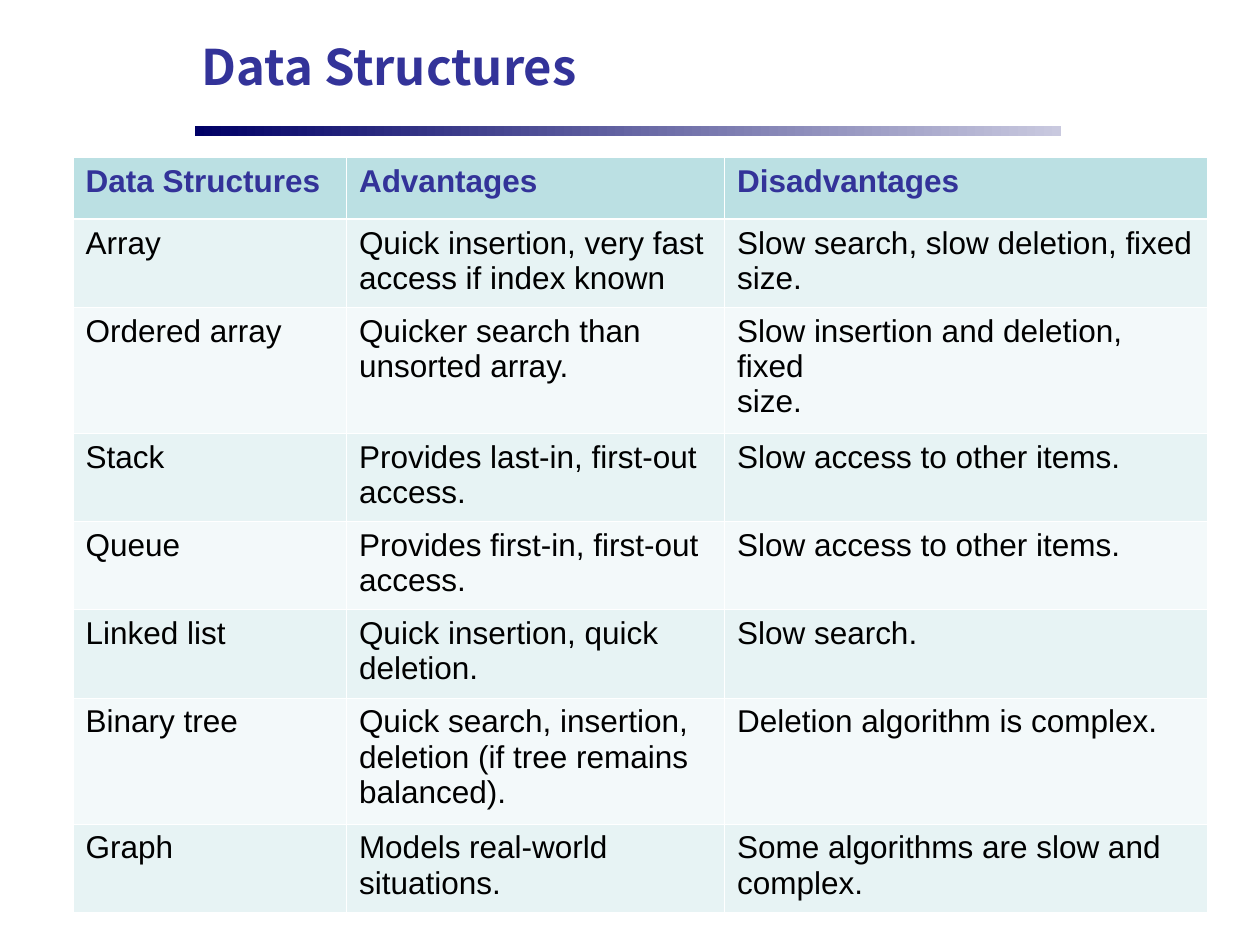
from lxml.etree import SubElement
from pptx import Presentation
from pptx.dml.color import RGBColor
from pptx.enum.shapes import MSO_SHAPE
from pptx.enum.text import MSO_ANCHOR, PP_ALIGN
from pptx.oxml.ns import qn
from pptx.util import Inches, Pt

NAVY = RGBColor(0x00, 0x00, 0x66)
LAVENDER = RGBColor(0xC9, 0xC9, 0xDF)
INDIGO = RGBColor(0x33, 0x33, 0x99)
BLACK = RGBColor(0x00, 0x00, 0x00)
WHITE = RGBColor(0xFF, 0xFF, 0xFF)
HEADER_FILL = RGBColor(0xBB, 0xE0, 0xE3)
BAND_FILLS = [RGBColor(0xF3, 0xF9, 0xFA), RGBColor(0xE7, 0xF3, 0xF4)]

THIN, THICK = 0.45, 1.47
COLUMNS = [2.17, 3, 3.83]
ROW_HEIGHTS = [0.49, 0.7, 1, 0.7, 0.7, 0.7, 1, 0.7]
ROWS = [
    ("Data Structures", "Advantages", "Disadvantages"),
    ("Array", "Quick insertion, very fast\naccess if index known",
     "Slow search, slow deletion, fixed\nsize."),
    ("Ordered array", "Quicker search than\nunsorted array.",
     "Slow insertion and deletion, fixed\nsize."),
    ("Stack", "Provides last-in, first-out\naccess.",
     "Slow access to other items."),
    ("Queue", "Provides first-in, first-out\naccess.",
     "Slow access to other items."),
    ("Linked list", "Quick insertion, quick\ndeletion.", "Slow search."),
    ("Binary tree",
     "Quick search, insertion,\ndeletion (if tree remains\nbalanced).",
     "Deletion algorithm is complex."),
    ("Graph", "Models real-world\nsituations.",
     "Some algorithms are slow and\ncomplex."),
]


def format_runs(tf, name, size, color, bold):
    for p in tf.paragraphs:
        for r in p.runs:
            r.font.name = name
            r.font.size = Pt(size)
            r.font.color.rgb = color
            r.font.bold = bold


def add_rule(slide, box):
    sp = slide.shapes.add_shape(MSO_SHAPE.RECTANGLE, *map(Inches, box))
    sp.shadow.inherit = False
    sp.line.fill.background()
    sp.fill.gradient()
    sp.fill.gradient_angle = 0
    for stop, color, position in zip(sp.fill.gradient_stops, (NAVY, LAVENDER), (0, 1)):
        stop.color.rgb = color
        stop.position = position


def add_title(slide, box, text):
    title = slide.shapes.title
    title.left, title.top, title.width, title.height = map(Inches, box)
    tf = title.text_frame
    tf.text = text
    tf.word_wrap = True
    tf.vertical_anchor = MSO_ANCHOR.MIDDLE
    tf.margin_left = tf.margin_right = Inches(0.1)
    tf.margin_top = tf.margin_bottom = 0
    p = tf.paragraphs[0]
    p.alignment = PP_ALIGN.LEFT
    p.line_spacing = 0.85
    format_runs(tf, "Noto Sans CJK SC", 28, INDIGO, True)


def set_borders(cell, top, bottom):
    tcPr = cell._tc.get_or_add_tcPr()
    for tag, width in (("lnL", THIN), ("lnR", THIN), ("lnT", top), ("lnB", bottom)):
        ln = SubElement(tcPr, qn(f"a:{tag}"), w=str(Pt(width)))
        fill = SubElement(ln, qn("a:solidFill"))
        SubElement(fill, qn("a:srgbClr"), val=str(WHITE))


def add_comparison_table(slide, box):
    table = slide.shapes.add_table(len(ROWS), len(COLUMNS), *map(Inches, box)).table
    for column, width in zip(table.columns, COLUMNS):
        column.width = Inches(width)
    for i, (row, height, texts) in enumerate(zip(table.rows, ROW_HEIGHTS, ROWS)):
        row.height = Inches(height)
        header = i == 0
        for cell, text in zip(row.cells, texts):
            cell.text_frame.text = text
            format_runs(cell.text_frame, "Arial", 18, INDIGO if header else BLACK, header)
            # Thick line between the header and the first row
            set_borders(cell, THICK if i == 1 else THIN, THICK if header else THIN)
            cell.fill.solid()
            cell.fill.fore_color.rgb = HEADER_FILL if header else BAND_FILLS[i % 2]


def main():
    prs = Presentation()
    prs.slide_width, prs.slide_height = Inches(10), Inches(7.5)
    slide = prs.slides.add_slide(prs.slide_layouts[5])  # title only
    add_rule(slide, (1.55, 1, 6.87, 0.08))
    add_title(slide, (1.5, 0.05, 7, 1.02), "Data Structures")
    add_comparison_table(slide, (0.58, 1.25, sum(COLUMNS), sum(ROW_HEIGHTS)))
    prs.save("out.pptx")


if __name__ == "__main__":
    main()
